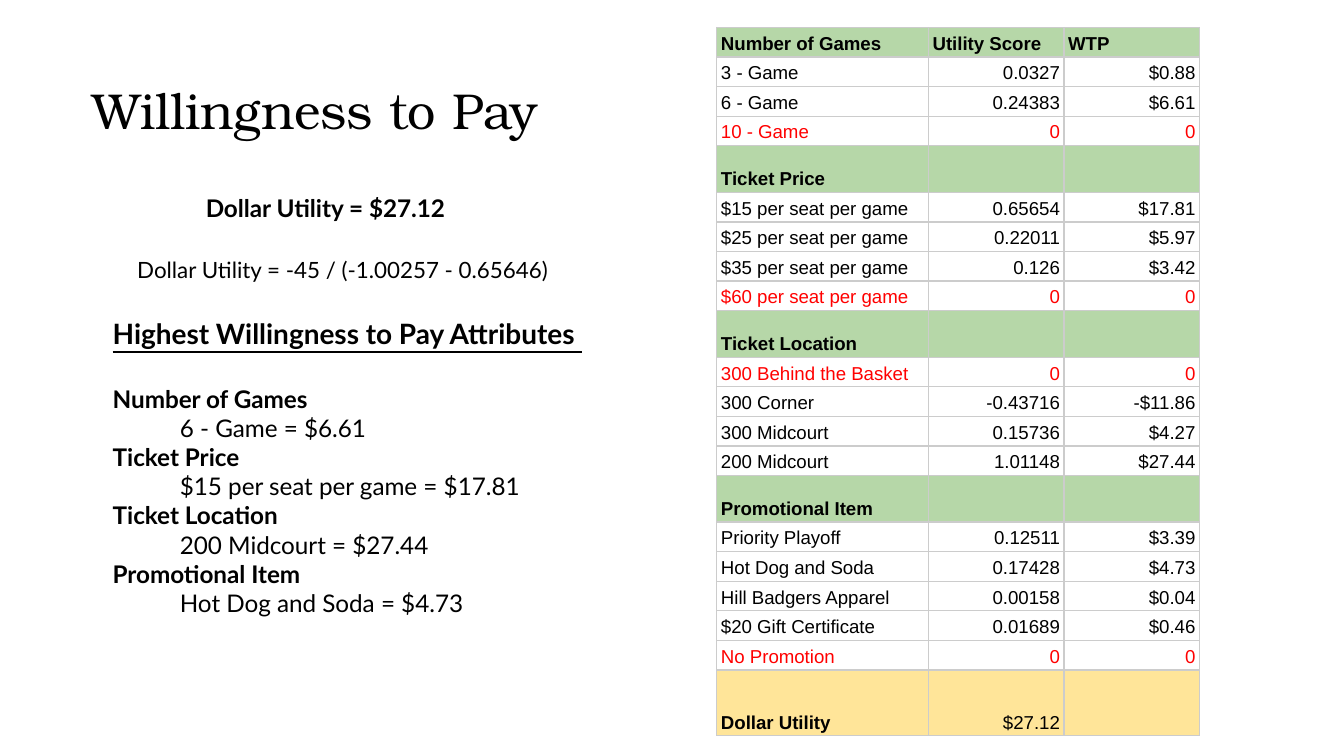
import pptx
import pptx.dml.color
import pptx.enum.text
import pptx.oxml
import pptx.oxml.ns
import pptx.util

Pt = pptx.util.Pt
ALIGN = pptx.enum.text.PP_ALIGN
ANCHOR = pptx.enum.text.MSO_ANCHOR

BLACK, RED, GREEN, YELLOW, GREY = "000000", "FF0000", "B6D7A8", "FFE599", "CCCCCC"

TITLE = "Willingness to Pay"

SECTIONS = [
    (("Number of Games", "Utility Score", "WTP"), [
        ("3 - Game", "0.0327", "$0.88"),
        ("6 - Game", "0.24383", "$6.61"),
        ("10 - Game", "0", "0"),
    ]),
    (("Ticket Price", "", ""), [
        ("$15 per seat per game", "0.65654", "$17.81"),
        ("$25 per seat per game", "0.22011", "$5.97"),
        ("$35 per seat per game", "0.126", "$3.42"),
        ("$60 per seat per game", "0", "0"),
    ]),
    (("Ticket Location", "", ""), [
        ("300 Behind the Basket", "0", "0"),
        ("300 Corner", "-0.43716", "-$11.86"),
        ("300 Midcourt", "0.15736", "$4.27"),
        ("200 Midcourt", "1.01148", "$27.44"),
    ]),
    (("Promotional Item", "", ""), [
        ("Priority Playoff", "0.12511", "$3.39"),
        ("Hot Dog and Soda", "0.17428", "$4.73"),
        ("Hill Badgers Apparel", "0.00158", "$0.04"),
        ("$20 Gift Certificate", "0.01689", "$0.46"),
        ("No Promotion", "0", "0"),
    ]),
]
TOTAL = ("Dollar Utility", "$27.12", "")

HIGHEST = [
    ("Number of Games", "6 - Game = $6.61"),
    ("Ticket Price", "$15 per seat per game = $17.81"),
    ("Ticket Location", "200 Midcourt = $27.44"),
    ("Promotional Item", "Hot Dog and Soda = $4.73"),
]

# text, size, bold, underline, alignment, left margin, space after
SUMMARY = [
    ("Dollar Utility = $27.12", 13, True, False, ALIGN.CENTER, 0, 18),
    ("Dollar Utility = -45 / (-1.00257 - 0.65646)", 12, False, False,
     ALIGN.CENTER, 18.8, 18),
    ("Highest Willingness to Pay Attributes ", 15, True, True, ALIGN.LEFT, 36, 18),
]
for attribute, level in HIGHEST:
    SUMMARY.append((attribute, 13, True, False, ALIGN.LEFT, 36, 0))
    SUMMARY.append((level, 13, False, False, ALIGN.LEFT, 72, 0))

COLUMN_WIDTHS = [113.4, 72.6, 72.6]
ROW_HEIGHT, SECTION_HEIGHT, TOTAL_HEIGHT = 15.85, 23, 35.3


def colour(code):
    return pptx.dml.color.RGBColor.from_string(code)


def apply(target, values):
    for name, value in values.items():
        setattr(target, name, value)


def add_text(para, text, name, size, code=BLACK, bold=False, underline=False):
    span = para.add_run()
    span.text = text
    apply(span.font, {"name": name, "size": Pt(size), "bold": bold,
                      "underline": underline})
    span.font.color.rgb = colour(code)


def add_borders(cell):
    properties = cell._tc.get_or_add_tcPr()
    for position, side in enumerate(("lnL", "lnR", "lnT", "lnB")):
        properties.insert(position, pptx.oxml.parse_xml(
            f'<a:{side} {pptx.oxml.ns.nsdecls("a")} w="{Pt(0.75)}"><a:solidFill>'
            f'<a:srgbClr val="{GREY}"/></a:solidFill></a:{side}>'))


def table_rows():
    """List each row as texts, height, fill, text colour and the bold columns."""
    rows = []
    for heading, levels in SECTIONS:
        height = SECTION_HEIGHT if rows else ROW_HEIGHT
        rows.append((heading, height, GREEN, BLACK, (0, 1, 2)))
        for level in levels:
            code = RED if level[1] == "0" else BLACK
            rows.append((level, ROW_HEIGHT, None, code, ()))
    rows.append((TOTAL, TOTAL_HEIGHT, YELLOW, BLACK, (0,)))
    return rows


def fill_cell(cell, text, fill, code, bold, align):
    apply(cell, {"vertical_anchor": ANCHOR.BOTTOM,
                 "margin_left": Pt(2.25), "margin_right": Pt(2.25),
                 "margin_top": Pt(1.5), "margin_bottom": Pt(1.5)})
    if fill:
        cell.fill.solid()
        cell.fill.fore_color.rgb = colour(fill)
    else:
        cell.fill.background()
    add_borders(cell)
    if text:
        para = cell.text_frame.paragraphs[0]
        apply(para, {"alignment": align, "line_spacing": 1.15})
        add_text(para, text, "Arial", 10, code, bold)


def add_score_table(slide):
    rows = table_rows()
    frame = slide.shapes.add_table(
        len(rows), len(COLUMN_WIDTHS), Pt(384), Pt(14.7),
        Pt(sum(COLUMN_WIDTHS)), Pt(sum(row[1] for row in rows)))
    table = frame.table
    apply(table, {"first_row": False, "horz_banding": False})
    for column, width in zip(table.columns, COLUMN_WIDTHS):
        column.width = Pt(width)
    for r, (texts, height, fill, code, bold_columns) in enumerate(rows):
        table.rows[r].height = Pt(height)
        for c, text in enumerate(texts):
            is_label = c == 0 or fill == GREEN
            fill_cell(table.cell(r, c), text, fill, code, c in bold_columns,
                      ALIGN.LEFT if is_label else ALIGN.RIGHT)


def set_frame(frame, anchor):
    margins = {f"margin_{side}": Pt(7.2) for side in ("left", "right", "top", "bottom")}
    apply(frame, {"word_wrap": True, "vertical_anchor": anchor,
                  "auto_size": pptx.enum.text.MSO_AUTO_SIZE.NONE, **margins})


def add_title(slide):
    title = slide.shapes.title
    apply(title, {"left": Pt(42.5), "top": Pt(36), "width": Pt(671), "height": Pt(45.4)})
    set_frame(title.text_frame, ANCHOR.MIDDLE)
    para = title.text_frame.paragraphs[0]
    para.alignment = ALIGN.LEFT
    add_text(para, TITLE, "TeX Gyre Bonum", 27)


def add_summary(slide):
    box = slide.shapes.add_textbox(Pt(17.3), Pt(96.5), Pt(314), Pt(258.5))
    set_frame(box.text_frame, ANCHOR.TOP)
    for i, (text, size, bold, underline, align, margin, after) in enumerate(SUMMARY):
        para = box.text_frame.add_paragraph() if i else box.text_frame.paragraphs[0]
        apply(para, {"alignment": align, "space_after": Pt(after)})
        para._p.get_or_add_pPr().set("marL", str(Pt(margin)))
        add_text(para, text, "Lato", size, bold=bold, underline=underline)


def main():
    deck = pptx.Presentation()
    apply(deck, {"slide_width": Pt(720), "slide_height": Pt(405)})
    slide = deck.slides.add_slide(deck.slide_layouts[5])
    add_title(slide)
    add_score_table(slide)
    add_summary(slide)
    deck.save("out.pptx")


if __name__ == "__main__":
    main()
